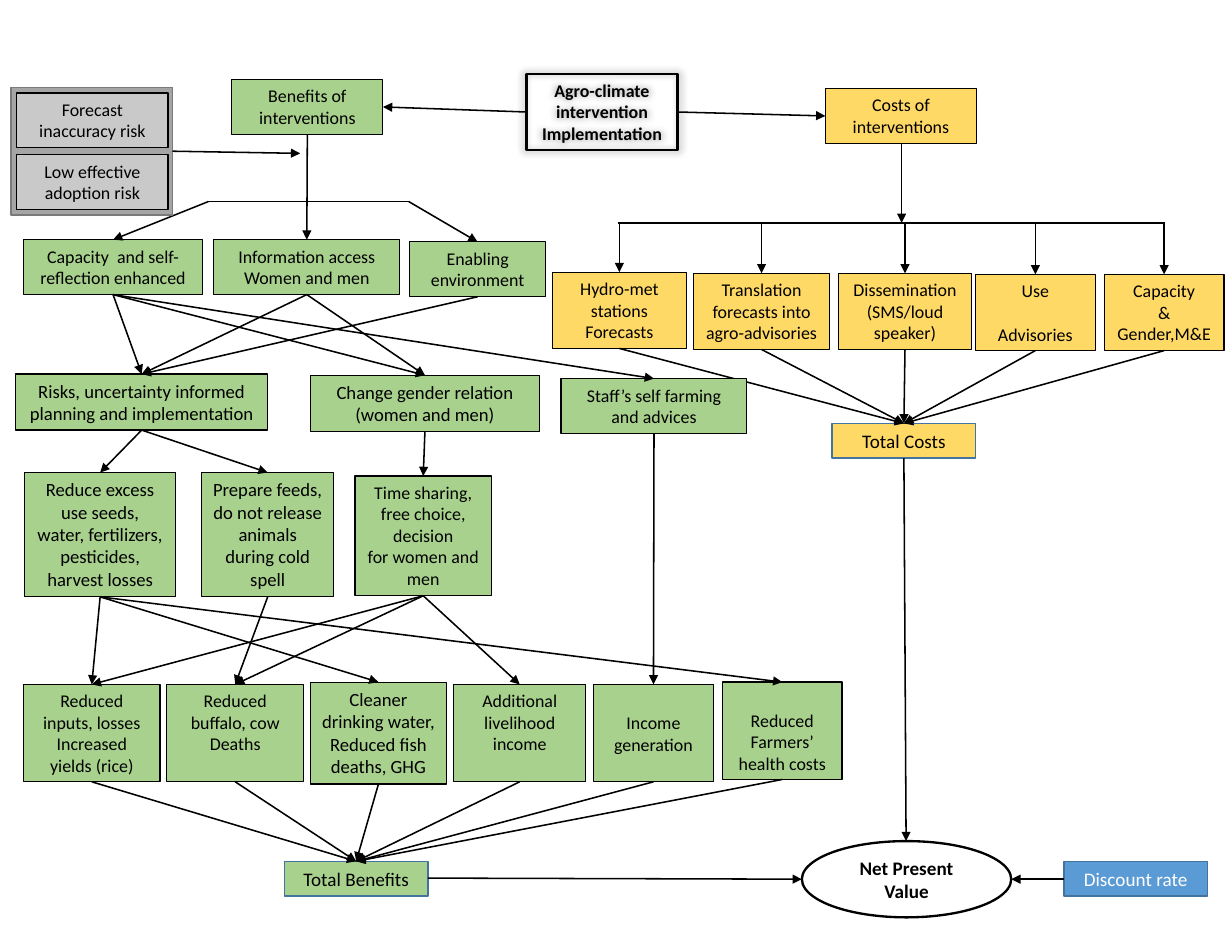
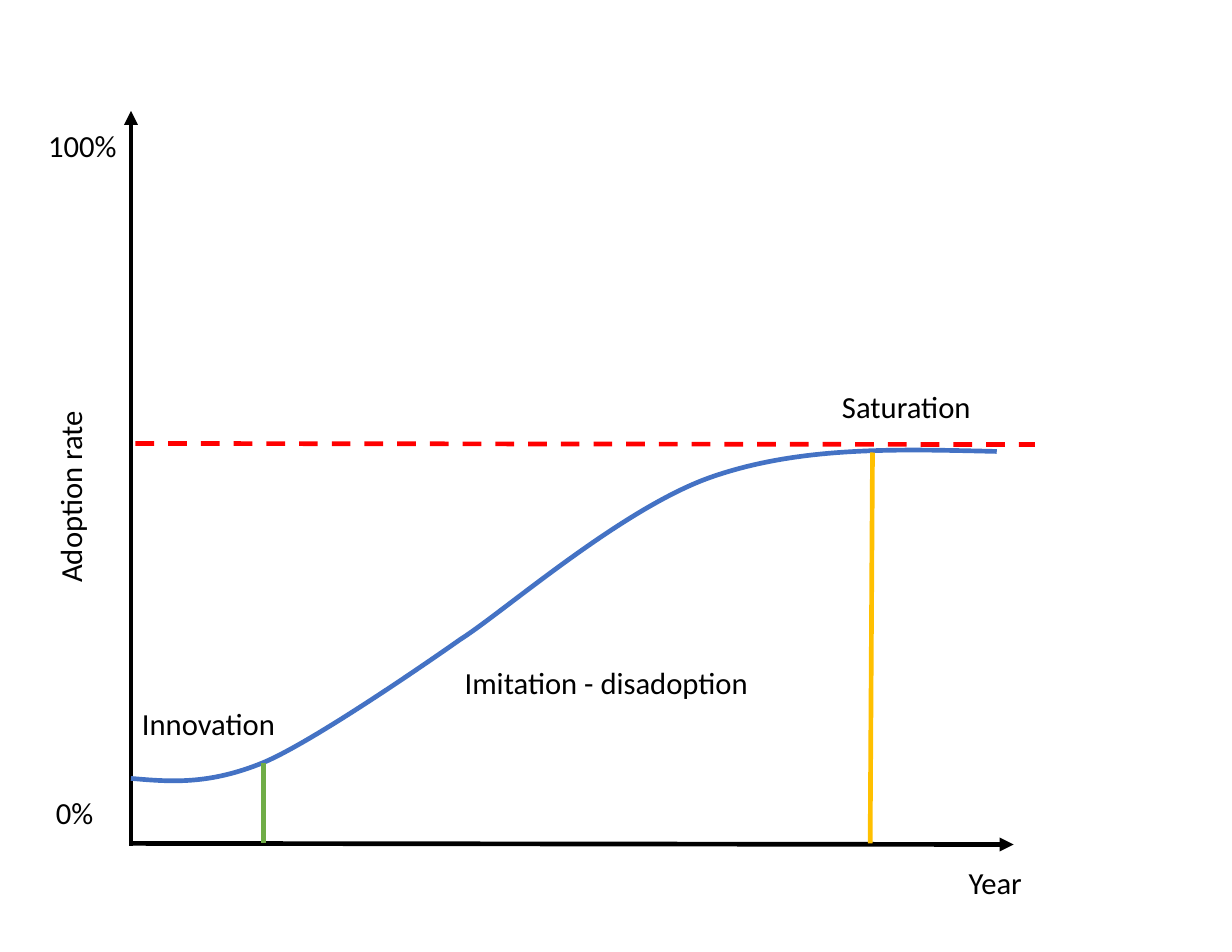
from dataclasses import dataclass

import pptx
import pptx.dml.color
import pptx.enum.dml
import pptx.enum.shapes
import pptx.enum.text
import pptx.oxml
import pptx.oxml.ns
import pptx.oxml.xmlchemy
import pptx.util

Pt = pptx.util.Pt
SHAPES = pptx.enum.shapes.MSO_SHAPE
ANCHOR = pptx.enum.text.MSO_ANCHOR
ALIGN = pptx.enum.text.PP_ALIGN
qn = pptx.oxml.ns.qn
new_element = pptx.oxml.xmlchemy.OxmlElement
TOP, LEFT, BOTTOM, RIGHT = range(4)


@dataclass(frozen=True)
class Theme:
    font: str = "Calibri"
    black: str = "000000"
    white: str = "FFFFFF"
    benefit: str = "A9D18E"
    cost: str = "FFD966"
    risk: str = "C9C9C9"
    risk_frame: str = "A5A5A5"
    risk_edge: str = "7A7A7A"
    discount: str = "5B9BD5"
    total_edge: str = "43739E"
    curve: str = "4472C4"
    innovation: str = "70AD47"
    saturation: str = "FFC000"
    limit: str = "FF0000"
    small: float = 11.5
    medium: float = 12
    total: float = 12.3
    label: float = 19.7
    blank_line: float = 14


def write_text(frame, text, *, size, font, color, bold=False, align=ALIGN.CENTER,
               anchor=ANCHOR.TOP, gap_above=0, gap_between=0):
    frame.word_wrap = True
    frame.vertical_anchor = anchor
    frame.margin_left = frame.margin_right = Pt(7.2)
    frame.margin_top = Pt(3.6 + gap_above)
    frame.margin_bottom = Pt(3.6)
    for index, words in enumerate(text.split("\n")):
        paragraph = frame.paragraphs[0] if index == 0 else frame.add_paragraph()
        paragraph.alignment = align
        if index:
            paragraph.space_before = Pt(gap_between)
        run = paragraph.add_run()
        run.text = words
        run.font.size = Pt(size)
        run.font.name = font
        run.font.bold = bold
        run.font.color.rgb = pptx.dml.color.RGBColor.from_string(color)


class Sketch:
    def __init__(self, presentation, theme):
        self.presentation = presentation
        self.theme = theme
        self.slide = None

    def new_slide(self):
        self.slide = self.presentation.slides.add_slide(self.presentation.slide_layouts[6])

    def outline(self, line, color, width):
        line.color.rgb = pptx.dml.color.RGBColor.from_string(color)
        line.width = Pt(width)

    def box(self, at, text="", *, fill=None, edge=None, width=0.75, kind=SHAPES.RECTANGLE,
            size=None, color=None, **text_format):
        shape = self.slide.shapes.add_shape(kind, *map(Pt, at))
        shape.shadow.inherit = False
        if fill:
            shape.fill.solid()
            shape.fill.fore_color.rgb = pptx.dml.color.RGBColor.from_string(fill)
        else:
            shape.fill.background()
        self.outline(shape.line, edge or self.theme.black, width)
        if text:
            write_text(shape.text_frame, text, font=self.theme.font,
                       size=size or self.theme.small, color=color or self.theme.black,
                       **text_format)
        return shape

    def total(self, at, text, fill, color=None):
        return self.box(at, text, fill=fill, edge=self.theme.total_edge, width=1,
                        size=self.theme.total, color=color, anchor=ANCHOR.MIDDLE)

    def halo(self, shape):
        effects = shape._element.spPr.find(qn("a:effectLst"))
        effects.append(pptx.oxml.parse_xml(
            f'<a:outerShdw {pptx.oxml.ns.nsdecls("a")} blurRad="63500" sx="102000" sy="102000" '
            'algn="ctr" rotWithShape="0"><a:srgbClr val="000000"><a:alpha val="40000"/>'
            '</a:srgbClr></a:outerShdw>'))

    def line(self, start, end, *, color=None, width=1, arrow=True, dash=None):
        connector = self.slide.shapes.add_connector(
            pptx.enum.shapes.MSO_CONNECTOR.STRAIGHT, *map(Pt, (*start, *end)))
        self.outline(connector.line, color or self.theme.black, width)
        if dash:
            connector.line.dash_style = dash
        properties = connector._element.spPr
        if arrow:
            tail = new_element("a:tailEnd")
            tail.set("type", "triangle")
            properties.find(qn("a:ln")).append(tail)
        properties.append(new_element("a:effectLst"))
        return connector

    def connect(self, source, target, leaving=BOTTOM, entering=TOP):
        connector = self.line((0, 0), (0, 0))
        connector.begin_connect(source, leaving)
        connector.end_connect(target, entering)

    def label(self, at, text, rotation=0):
        text_box = self.slide.shapes.add_textbox(*map(Pt, at))
        text_box.rotation = rotation
        write_text(text_box.text_frame, text, size=self.theme.label, font=self.theme.font,
                   color=self.theme.black, align=ALIGN.LEFT)

    def curve(self, start, segments, color, width):
        builder = self.slide.shapes.build_freeform(*map(Pt, start))
        builder.add_line_segments([tuple(map(Pt, segment[-1])) for segment in segments],
                                  close=False)
        shape = builder.convert_to_shape()
        shape.shadow.inherit = False
        shape.fill.background()
        self.outline(shape.line, color, width)
        for step, segment in zip(list(shape._element.iter(qn("a:lnTo"))), segments):
            step.tag = qn("a:cubicBezTo")
            for index, (x, y) in enumerate(segment[:2]):
                control = new_element("a:pt")
                control.set("x", str(Pt(x) - shape.left))
                control.set("y", str(Pt(y) - shape.top))
                step.insert(index, control)


def draw_costs(sketch, implementation):
    theme = sketch.theme
    costs = sketch.box((530.6, 56.9, 97.2, 35.3), "Costs of interventions", fill=theme.cost)
    sketch.connect(implementation, costs, RIGHT, LEFT)
    total_costs = sketch.total((535, 272.2, 92.2, 22.3), "Total Costs", theme.cost)
    trunk = 143.3
    sketch.line((579.6, 92.2), (579.6, trunk))
    sketch.line((397.4, trunk), (748.8, trunk), arrow=False)
    items = [
        (355, 175, 86.4, "Hydro-met stations\nForecasts", 0),
        (445.7, 175.7, 87.8, "Translation forecasts into agro-advisories", 0),
        (539.3, 175.7, 85, "Dissemination (SMS/loud speaker)", 0),
        (627.1, 176.4, 77, "Use\nAdvisories", theme.blank_line),
        (709.9, 176.4, 77, "Capacity\n&\nGender,M&E", 0),
    ]
    for left, top, width, text, gap in items:
        item = sketch.box((left, top, width, 49), text, fill=theme.cost, gap_between=gap)
        middle = left + width / 2
        sketch.line((middle, trunk), (middle, top))
        sketch.connect(item, total_costs)


def draw_benefits(sketch, implementation):
    theme = sketch.theme
    small, medium, gap = theme.small, theme.medium, theme.blank_line
    benefits = sketch.box((149, 51.1, 97.2, 35.3), "Benefits of interventions",
                          fill=theme.benefit)
    sketch.connect(implementation, benefits, LEFT, RIGHT)
    contents = {
        "capacity": (15.1, 154.1, 115.2, 35.3, "Capacity  and self-reflection enhanced", small, 0),
        "access": (137.5, 154.1, 119.5, 35.3, "Information access\nWomen and men", small, 0),
        "enabling": (263.5, 155.5, 87.1, 35.3, "Enabling environment", small, 0),
        "planning": (10.1, 240.5, 162, 36,
                     "Risks, uncertainty informed planning and implementation", medium, 0),
        "gender": (199.4, 241.2, 147.6, 36, "Change gender relation (women and men)", medium, 0),
        "staff": (360.7, 243.4, 119.5, 35.3, "Staff’s self farming and advices", small, 0),
        "excess": (15.8, 303.8, 97.2, 79.9,
                   "Reduce excess use seeds, water, fertilizers, pesticides, harvest losses",
                   medium, 0),
        "feeds": (129.6, 303.8, 85, 79.9,
                  "Prepare feeds, do not release animals during cold spell", medium, 0),
        "sharing": (228.2, 306, 87.8, 77,
                    "Time sharing,\nfree choice, decision\nfor women and men", small, 0),
        "yields": (15.1, 440, 87.8, 62.6,
                   "Reduced inputs, losses\nIncreased yields (rice)", small, 0),
        "animals": (107.3, 440, 87.8, 62.6, "Reduced buffalo, cow\nDeaths", small, 0),
        "water": (199.4, 438.5, 87.8, 65.5,
                  "Cleaner drinking water,\nReduced fish deaths, GHG", medium, 0),
        "livelihood": (291.6, 440, 85, 62.6, "Additional livelihood income", small, 0),
        "income": (381.6, 440, 77, 62.6, "Income generation", small, gap),
        "health": (464.4, 438.5, 77, 62.6, "Reduced\nFarmers’ health costs", small, gap),
    }
    boxes = {
        name: sketch.box(at, text, fill=theme.benefit, size=size, gap_above=gap_above)
        for name, (*at, text, size, gap_above) in contents.items()
    }
    boxes["total"] = sketch.total((182.9, 553.7, 92.2, 22.3), "Total Benefits", theme.benefit)
    effects = {
        "capacity": "planning gender staff",
        "access": "planning gender",
        "enabling": "planning",
        "planning": "excess feeds",
        "gender": "sharing",
        "staff": "income",
        "excess": "yields water health",
        "feeds": "animals",
        "sharing": "yields animals livelihood",
        **dict.fromkeys("yields animals water livelihood income health".split(), "total"),
    }
    for cause, results in effects.items():
        for result in results.split():
            sketch.connect(boxes[cause], boxes[result])
    sketch.connect(benefits, boxes["access"])
    fork_left, fork_right = (133.9, 129.6), (262.8, 129.6)
    sketch.line(fork_left, fork_right, arrow=False)
    sketch.line(fork_left, (72.7, 154.1))
    sketch.line(fork_right, (307, 155.5))


def draw_risks(sketch):
    theme = sketch.theme
    sketch.box((7.2, 56.2, 103.7, 82.1), fill=theme.risk_frame, edge=theme.risk_edge, width=1)
    for top, text in ((59.8, "Forecast inaccuracy risk"), (99.4, "Low effective adoption risk")):
        sketch.box((10.8, top, 97.2, 35.3), text, fill=theme.risk)
    sketch.line((110.9, 97.2), (193, 98.6))


def draw_impact_pathway(sketch):
    theme = sketch.theme
    sketch.new_slide()
    implementation = sketch.box((338.4, 47.5, 97.2, 49),
                                "Agro-climate intervention\nImplementation", width=1.5, bold=True)
    sketch.halo(implementation)
    draw_costs(sketch, implementation)
    draw_benefits(sketch, implementation)
    draw_risks(sketch)
    sketch.box((515.5, 540.7, 134.6, 49), "Net Present\nValue", fill=theme.white, width=1.5,
               kind=SHAPES.OVAL, size=theme.total, bold=True, anchor=ANCHOR.MIDDLE)
    sketch.total((684, 553.7, 92.2, 22.3), "Discount rate", theme.discount, theme.white)
    sketch.line((684, 565.2), (650.1, 565.2))
    sketch.line((275.1, 564.5), (515.5, 565.2))
    sketch.line((581.1, 294.5), (582.5, 540.7))


def draw_adoption_curve(sketch):
    theme = sketch.theme
    sketch.new_slide()
    sketch.line((85, 542.2), (651.6, 542.9), width=3)
    sketch.line((84.2, 543.6), (84.2, 71.3), width=3)
    sketch.curve((84.2, 500.4), [
        ((109.4, 502.6), (133.9, 504.7), (169.2, 490.3)),
        ((205.2, 475.2), (295.9, 411.1), (295.9, 411.1)),
        ((323.3, 393.8), (399.6, 326.9), (457.2, 306.7)),
        ((514.8, 286.6), (577.4, 288.7), (640.8, 290.2)),
    ], theme.curve, 3)
    sketch.line((169.2, 490.3), (169.2, 542.2), color=theme.innovation, width=3, arrow=False)
    sketch.line((560.9, 290.9), (559.4, 542.2), color=theme.saturation, width=3, arrow=False)
    sketch.line((87.1, 285.1), (665.3, 285.8), color=theme.limit, width=3, arrow=False,
                dash=pptx.enum.dml.MSO_LINE.DASH)
    sketch.label((-18, 279.4, 149.8, 54.7), "Adoption rate", rotation=270)
    for left, top, width, text in (
        (615.6, 551.5, 94.3, "Year"),
        (84.2, 449.3, 121, "Innovation"),
        (291.6, 423.4, 274.3, "Imitation - disadoption"),
        (534.2, 245.5, 121, "Saturation"),
        (28.8, 506.9, 94.3, "0%"),
        (23.8, 77.8, 94.3, "100%"),
    ):
        sketch.label((left, top, width, 31), text)


def main():
    presentation = pptx.Presentation()
    presentation.slide_width = Pt(792)
    presentation.slide_height = Pt(612)
    sketch = Sketch(presentation, Theme())
    draw_impact_pathway(sketch)
    draw_adoption_curve(sketch)
    presentation.save("out.pptx")


if __name__ == "__main__":
    main()
